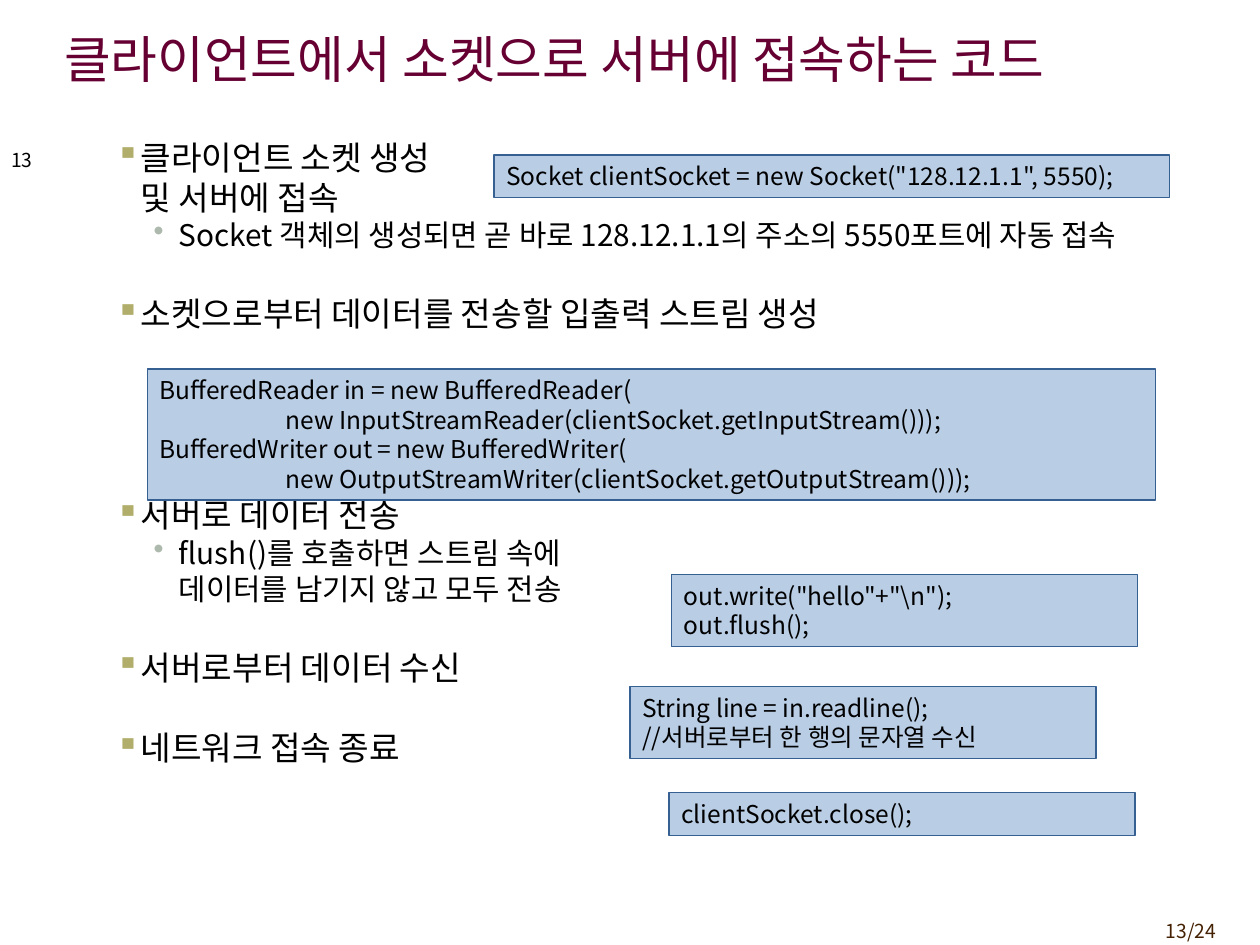
from lxml import etree
from pptx import Presentation
from pptx.dml.color import RGBColor
from pptx.enum.shapes import MSO_SHAPE
from pptx.enum.text import MSO_ANCHOR, PP_ALIGN
from pptx.oxml.ns import qn
from pptx.util import Inches, Pt

RECT = MSO_SHAPE.RECTANGLE
TOP, MID = MSO_ANCHOR.TOP, MSO_ANCHOR.MIDDLE
LEFT, RIGHT = PP_ALIGN.LEFT, PP_ALIGN.RIGHT
FACE = "Noto Sans CJK KR"
COLS, ROWS = 100, 75
BLACK = "000000"

# Per level: size, line pitch, space before, text indent, bullet, bullet colour
LEVELS = {
    1: (19, 18.2, 4.8, 0.59, "▪", "B1AE6B"),
    2: (17, 16.3, 4.2, 0.89, "•", "ADB9AD"),
}
HANG = 0.2

# Level, bulleted, lines left free above, text
POINTS = [
    (1, True, 0, "클라이언트 소켓 생성"),
    (1, False, 0, "및 서버에 접속"),
    (2, True, 0, "Socket 객체의 생성되면 곧 바로 128.12.1.1의 주소의 5550포트에 자동 접속"),
    (1, True, 1, "소켓으로부터 데이터를 전송할 입출력 스트림 생성"),
    (1, True, 4, "서버로 데이터 전송"),
    (2, True, 0, "flush()를 호출하면 스트림 속에"),
    (2, False, 0, "데이터를 남기지 않고 모두 전송"),
    (1, True, 1, "서버로부터 데이터 수신"),
    (1, True, 1, "네트워크 접속 종료"),
]

# Grid box and code lines
CODES = [
    ((39.2, 12.3, 53.6, 3.4),
     ['Socket clientSocket = new Socket("128.12.1.1", 5550);']),
    ((11.7, 29.3, 80, 10.4),
     ["BufferedReader in = new BufferedReader(",
      "\t\tnew InputStreamReader(clientSocket.getInputStream()));",
      "BufferedWriter out = new BufferedWriter(",
      "\t\tnew OutputStreamWriter(clientSocket.getOutputStream()));"]),
    ((50, 54.5, 37, 5.7),
     ["String line = in.readline();", "//서버로부터 한 행의 문자열 수신"]),
    ((53.1, 62.9, 37, 3.4), ["clientSocket.close();"]),
    ((53.3, 45.6, 37, 5.7), ['out.write("hello"+"\\n");', "out.flush();"]),
]


def color(code):
    return RGBColor.from_string(code)


def assign(item, values):
    for name, value in values.items():
        setattr(item, name, value)


class Deck:
    def __init__(self):
        self.file = Presentation()
        assign(self.file, {"slide_width": Inches(10), "slide_height": Inches(7.5)})
        self.slide = self.file.slides.add_slide(self.file.slide_layouts[6])

    def place(self, box):
        """Turn a grid box into slide lengths."""
        wide, high = self.file.slide_width, self.file.slide_height
        x, y, w, h = box
        return (int(x * wide / COLS), int(y * high / ROWS),
                int(w * wide / COLS), int(h * high / ROWS))

    def put(self, para, text, size, ink, **form):
        """Fill one paragraph and set its format."""
        assign(para, form)
        run = para.add_run()
        run.text = text
        assign(run.font, {"size": Pt(size), "name": FACE})
        run.font.color.rgb = color(ink)
        east = etree.SubElement(run.font._element, qn("a:ea"))
        east.set("typeface", FACE)

    def paras(self, frame, count):
        for _ in range(count - 1):
            frame.add_paragraph()
        return frame.paragraphs

    def frame(self, box, anchor=TOP):
        frame = self.slide.shapes.add_textbox(*self.place(box)).text_frame
        assign(frame, {"word_wrap": True, "vertical_anchor": anchor})
        return frame

    def label(self, box, text, size, ink=BLACK, align=LEFT, anchor=TOP):
        para = self.frame(box, anchor).paragraphs[0]
        self.put(para, text, size, ink, alignment=align)

    def points(self, box, rows):
        frame = self.frame(box)
        frame.margin_right = 0
        for i, (para, row) in enumerate(zip(self.paras(frame, len(rows)), rows)):
            level, marked, skip, text = row
            size, pitch, gap, indent, mark, tint = LEVELS[level]
            props = para._p.get_or_add_pPr()
            props.set("marL", str(Inches(indent)))
            props.set("indent", str(Inches(-HANG) if marked else 0))
            if marked:
                ink = etree.SubElement(props, qn("a:buClr"))
                etree.SubElement(ink, qn("a:srgbClr")).set("val", tint)
                etree.SubElement(props, qn("a:buChar")).set("char", mark)
            free = skip * (LEVELS[1][1] + LEVELS[1][2])
            self.put(para, text, size, BLACK, level=level - 1,
                     line_spacing=Pt(pitch),
                     space_before=Pt(gap + free if i else 0))

    def code(self, box, lines):
        shape = self.slide.shapes.add_shape(RECT, *self.place(box))
        shape.shadow.inherit = False
        shape.fill.solid()
        shape.fill.fore_color.rgb = color("B9CDE5")
        shape.line.color.rgb = color("376092")
        shape.line.width = Pt(0.75)
        frame = shape.text_frame
        assign(frame, {"word_wrap": True, "vertical_anchor": TOP})
        for para, text in zip(self.paras(frame, len(lines)), lines):
            self.put(para, text, 14, BLACK, alignment=LEFT,
                     line_spacing=Pt(16.8))


def main():
    deck = Deck()
    # Page count, title and body
    deck.label((89.2, 72.5, 8.3, 2.9), "13/24", 11, "452103", RIGHT)
    deck.label((4.1, 1.7, 89.2, 5.8), "클라이언트에서 소켓으로 서버에 접속하는 코드",
               29, "660033", anchor=MID)
    deck.points((4.3, 11, 89.2, 55.1), POINTS)
    # Slide number and code boxes
    deck.label((-0.1, 11.3, 5.8, 2.7), "13", 11)
    for box, lines in CODES:
        deck.code(box, lines)
    deck.file.save("out.pptx")


if __name__ == "__main__":
    main()
